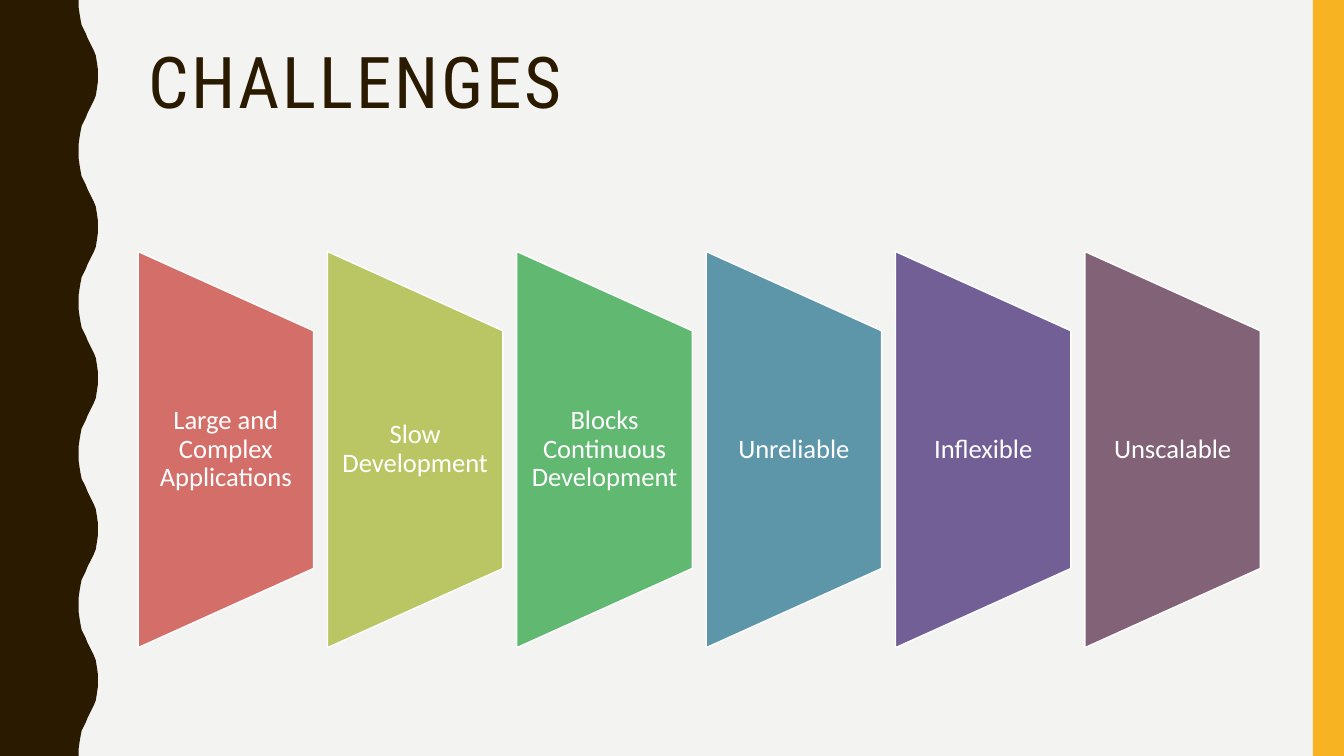
from pptx import Presentation
from pptx.dml.color import RGBColor
from pptx.enum.shapes import MSO_SHAPE
from pptx.enum.text import MSO_ANCHOR, PP_ALIGN
from pptx.util import Inches, Pt

RECTANGLE = MSO_SHAPE.RECTANGLE
TRAPEZOID = MSO_SHAPE.FLOWCHART_MANUAL_OPERATION
TOP, MIDDLE = MSO_ANCHOR.TOP, MSO_ANCHOR.MIDDLE
LEFT, CENTER = PP_ALIGN.LEFT, PP_ALIGN.CENTER

TITLE = "CHALLENGES"
CHALLENGES = [
    ("Large and Complex Applications", "D36F68"),
    ("Slow Development", "BAC663"),
    ("Blocks Continuous Development", "60B871"),
    ("Unreliable", "5E96A9"),
    ("Inflexible", "715F96"),
    ("Unscalable", "826276"),
]
BACKGROUND, BROWN, AMBER, WHITE = "F3F3F2", "2A1A00", "F8B323", "FFFFFF"

SLIDE_W, SLIDE_H = 13.33, 7.5
STRIPE_W = 0.31
CONTENT_LEFT, CONTENT_W = 1.37, 11.13
PANEL_W, PANEL_H, PANEL_MIDDLE = 1.74, 3.93, 4.46
PANEL_STEP = (CONTENT_W - PANEL_W) / (len(CHALLENGES) - 1)
LABEL_H = PANEL_H * 0.6

# Right edge of the wavy band: trough to crest, then mirrored back
WAVE_LENGTH = SLIDE_H / 5
RISE = [(0.78, 0), (0.78, 0.07), (0.79, 0.14), (0.8, 0.2), (0.81, 0.25),
        (0.83, 0.29), (0.85, 0.33), (0.87, 0.38), (0.89, 0.42), (0.91, 0.46),
        (0.93, 0.5), (0.95, 0.55), (0.96, 0.61), (0.97, 0.68), (0.97, 0.75)]
WAVE = RISE + [(x, WAVE_LENGTH - y) for x, y in reversed(RISE[:-1])]


def color(hex_string):
    return RGBColor.from_string(hex_string)


def paint(shape, fill, line=None):
    shape.shadow.inherit = False
    shape.fill.solid()
    shape.fill.fore_color.rgb = color(fill)
    if line:
        shape.line.color.rgb = color(line)
        shape.line.width = Pt(1)
    else:
        shape.line.fill.background()


def add_text(slide, text, box, font, size, ink, align, anchor, side=0.1, edge=0.05):
    """Add a wrapped text box; side and edge are its insets. Returns its run."""
    frame = slide.shapes.add_textbox(*map(Inches, box)).text_frame
    frame.word_wrap = True
    frame.vertical_anchor = anchor
    frame.margin_left = frame.margin_right = Inches(side)
    frame.margin_top = frame.margin_bottom = Inches(edge)
    frame.text = text
    paragraph = frame.paragraphs[0]
    paragraph.alignment = align
    paragraph.line_spacing = 0.9
    run = paragraph.runs[0]
    run.font.name, run.font.size = font, Pt(size)
    run.font.color.rgb = color(ink)
    return run


def add_wavy_band(slide):
    edge = [(x, y + wave * WAVE_LENGTH) for wave in range(5) for x, y in WAVE]
    outline = [(Inches(x), Inches(y)) for x, y in edge + [(0, SLIDE_H)]]
    builder = slide.shapes.build_freeform(0, 0)
    builder.add_line_segments(outline, close=True)
    paint(builder.convert_to_shape(), BROWN)


def add_challenge(slide, column, label, fill):
    left = CONTENT_LEFT + column * PANEL_STEP
    # The panel is laid out flat around its centre and then turned upright
    box = (left + (PANEL_W - PANEL_H) / 2, PANEL_MIDDLE - PANEL_W / 2, PANEL_H, PANEL_W)
    panel = slide.shapes.add_shape(TRAPEZOID, *map(Inches, box))
    panel.rotation = 270
    paint(panel, fill, WHITE)
    add_text(slide, label, (left, PANEL_MIDDLE - LABEL_H / 2, PANEL_W, LABEL_H),
             "Calibri", 19, WHITE, CENTER, MIDDLE, side=0.13, edge=0)


def main():
    deck = Presentation()
    deck.slide_width, deck.slide_height = Inches(SLIDE_W), Inches(SLIDE_H)
    slide = deck.slides.add_slide(deck.slide_layouts[6])
    slide.background.fill.solid()
    slide.background.fill.fore_color.rgb = color(BACKGROUND)

    add_wavy_band(slide)
    stripe = slide.shapes.add_shape(
        RECTANGLE, Inches(SLIDE_W - STRIPE_W), 0, Inches(STRIPE_W), Inches(SLIDE_H))
    paint(stripe, AMBER)

    title = add_text(slide, TITLE, (CONTENT_LEFT, 0.42, CONTENT_W, 1.63),
                     "Roboto Condensed", 51, BROWN, LEFT, TOP)
    title.font._element.set("spc", "200")

    for column, (label, fill) in enumerate(CHALLENGES):
        add_challenge(slide, column, label, fill)
    deck.save("out.pptx")


if __name__ == "__main__":
    main()
